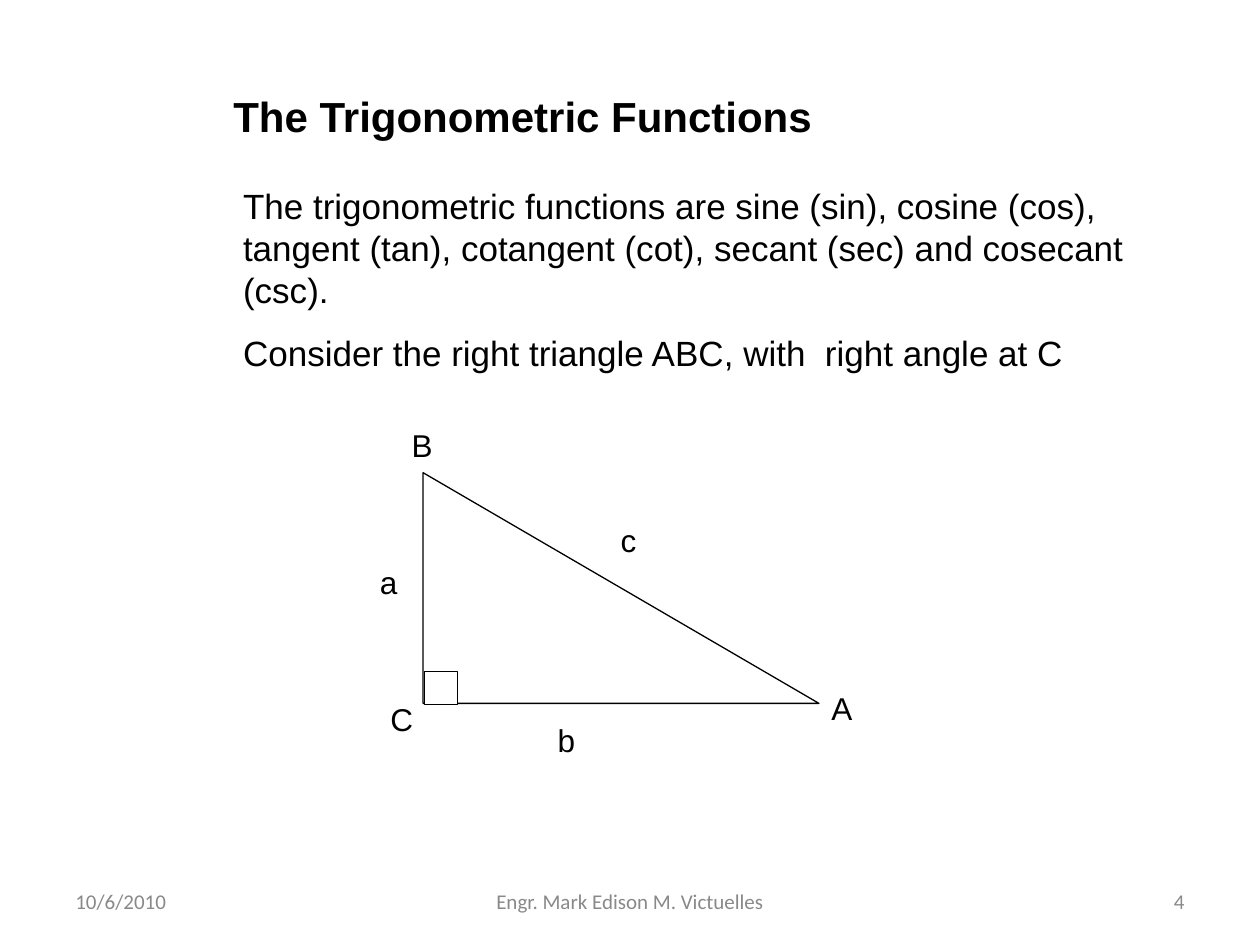
import pptx
import pptx.dml.color
import pptx.enum.shapes
import pptx.enum.text
import pptx.util

Cm = pptx.util.Cm
ALIGN = pptx.enum.text.PP_ALIGN
ANCHOR = pptx.enum.text.MSO_ANCHOR
SHAPE = pptx.enum.shapes.MSO_SHAPE

BLACK, WHITE, GREY = "000000", "FFFFFF", "898989"


def color(hex_value):
    return pptx.dml.color.RGBColor.from_string(hex_value)


def place(part, box):
    part.left, part.top, part.width, part.height = map(Cm, box)


def write(part, text, size, font_name="Arial", ink=BLACK, bold=False,
          align=ALIGN.LEFT, anchor=ANCHOR.TOP):
    frame = part.text_frame
    frame.word_wrap = True
    frame.auto_size = pptx.enum.text.MSO_AUTO_SIZE.NONE
    frame.vertical_anchor = anchor
    paragraph = frame.paragraphs[0]
    paragraph.text = text
    paragraph.alignment = align
    font = paragraph.font
    font.name, font.size, font.bold = font_name, pptx.util.Pt(size), bold
    font.color.rgb = color(ink)


def add_text(slide, box, text, size, **style):
    write(slide.shapes.add_textbox(*map(Cm, box)), text, size, **style)


def add_outline(slide, preset, box):
    outline = slide.shapes.add_shape(preset, *map(Cm, box))
    outline.shadow.inherit = False
    outline.fill.solid()
    outline.fill.fore_color.rgb = color(WHITE)
    outline.line.color.rgb = color(BLACK)
    outline.line.width = pptx.util.Pt(0.75)


def add_title(slide, box):
    title = slide.shapes.title
    place(title, box)
    write(title, "The Trigonometric Functions", 24, bold=True)


def add_explanation(slide, box):
    left, top, width, height = box
    add_text(slide, (left, top, width, 2.8),
             "The trigonometric functions are sine (sin), cosine (cos), tangent (tan), "
             "cotangent (cot), secant (sec) and cosecant (csc).", 20)
    add_text(slide, (left, top + height - 1.12, width, 1.12),
             "Consider the right triangle ABC, with  right angle at C", 20)


def add_triangle(slide, box):
    left, top, width, height = box
    add_outline(slide, SHAPE.RIGHT_TRIANGLE, box)

    # Right-angle mark at C
    mark = 0.66
    add_outline(slide, SHAPE.RECTANGLE, (left + 0.03, top + height - mark + 0.02, mark, mark))

    # Vertex and side labels, offset from the triangle's top left
    labels = {
        "B": (-0.48, -1.07), "A": (width, height - 0.41), "C": (-0.91, height - 0.2),
        "b": (2.46, height + 0.23), "a": (-1.12, 1.7), "c": (3.73, 0.84),
    }
    for label, (dx, dy) in labels.items():
        add_text(slide, (left + dx, top + dy, 0.85, 1.02), label, 18)


def add_footer(slide, box):
    left, top, width, height = box
    side, middle = 5.93, 8.04
    entries = [
        ("10/6/2010", left, side, ALIGN.LEFT),
        ("Engr. Mark Edison M. Victuelles", left + (width - middle) / 2, middle, ALIGN.CENTER),
        ("4", left + width - side, side, ALIGN.RIGHT),
    ]
    for text, x, entry_width, align in entries:
        add_text(slide, (x, top, entry_width, height), text, 12, font_name="Calibri",
                 ink=GREY, align=align, anchor=ANCHOR.MIDDLE)


def main():
    deck = pptx.Presentation()
    deck.slide_width, deck.slide_height = Cm(25.4), Cm(19.05)
    slide = deck.slides.add_slide(deck.slide_layouts.get_by_name("Title Only"))

    add_title(slide, (4.45, 1.7, 14.6, 1.27))
    add_explanation(slide, (4.65, 3.6, 20.12, 4.07))
    add_triangle(slide, (8.53, 9.53, 7.98, 4.65))
    add_footer(slide, (1.27, 17.65, 22.86, 1.02))

    deck.save("out.pptx")


if __name__ == "__main__":
    main()
